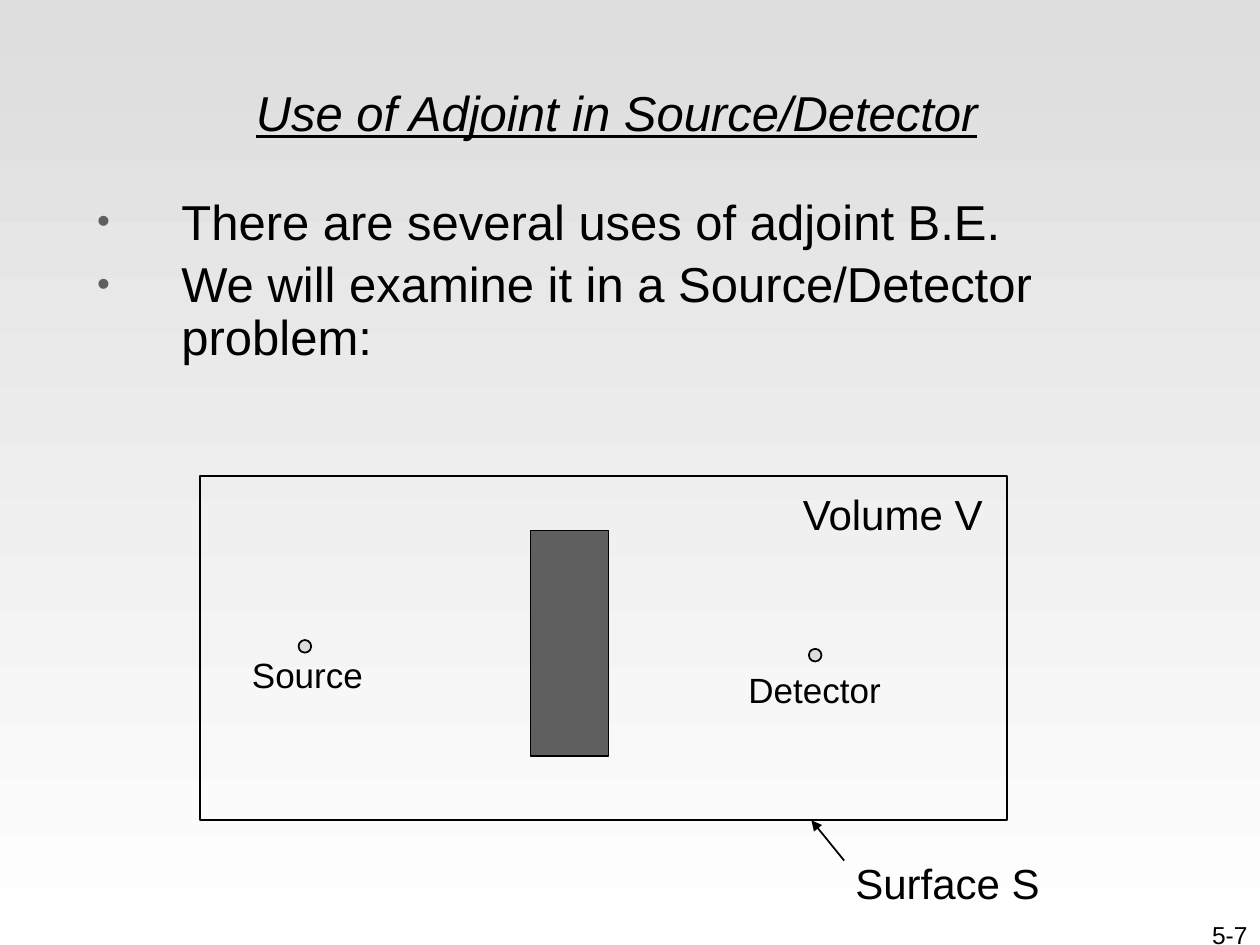
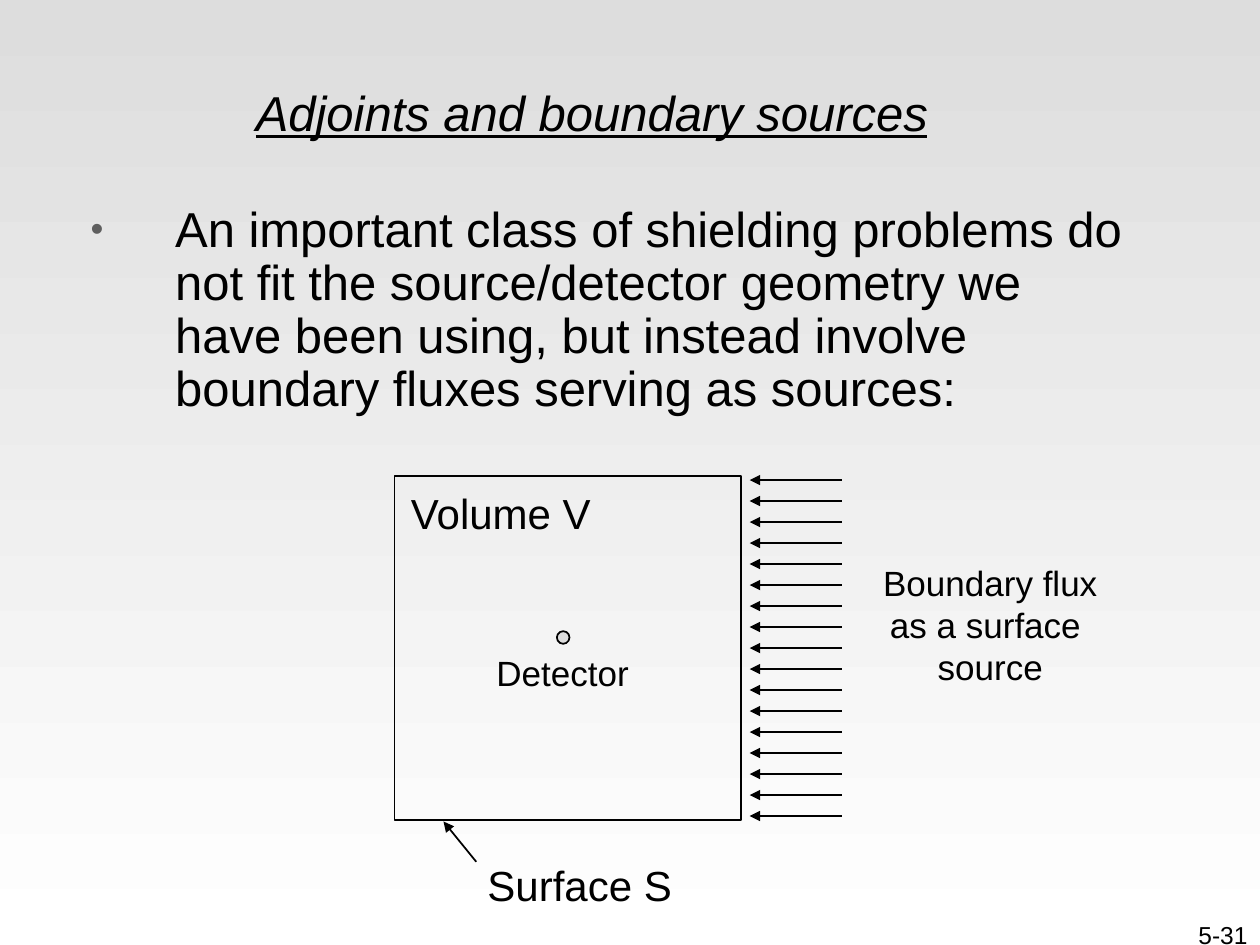
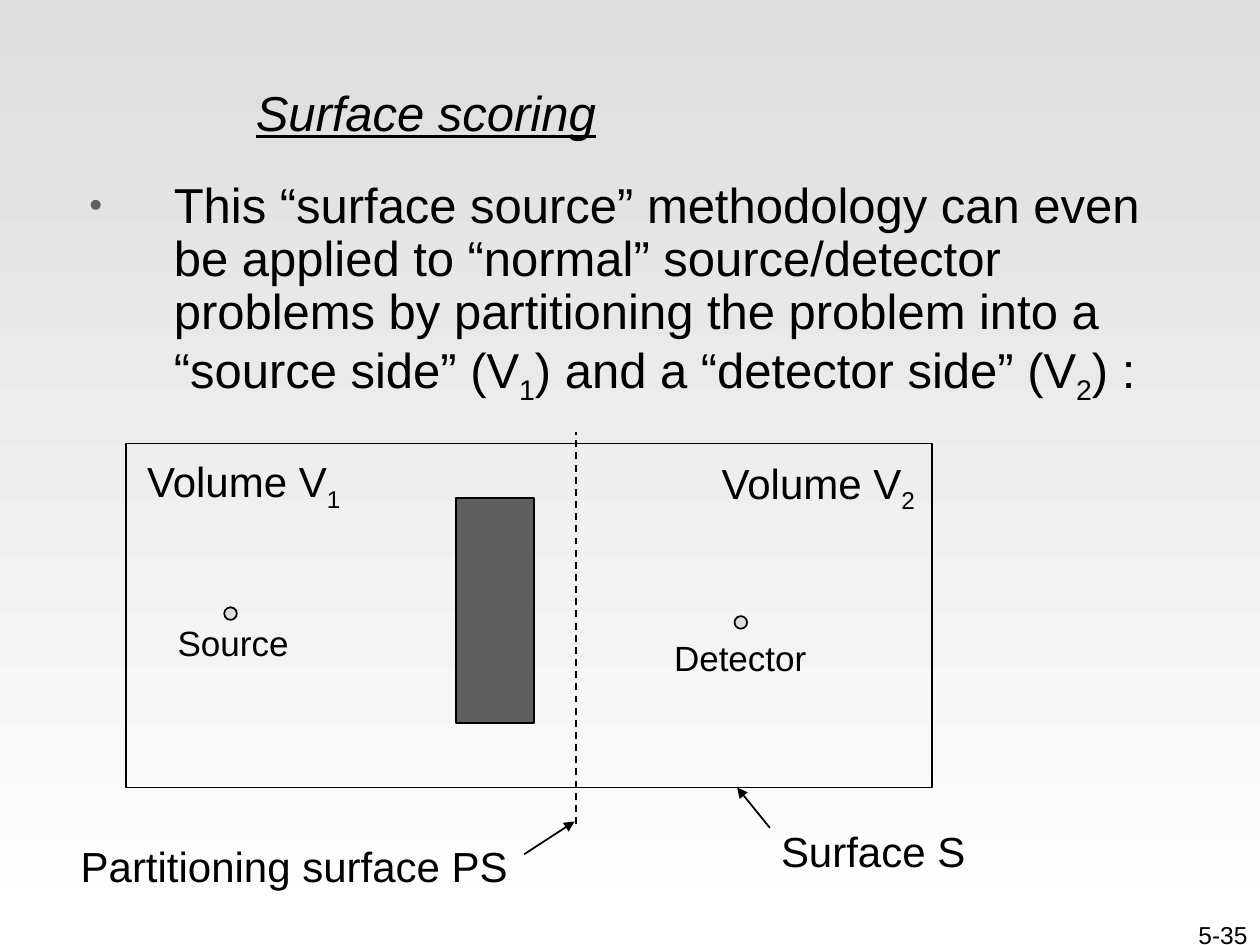
from lxml import etree
from pptx import Presentation
from pptx.dml.color import RGBColor
from pptx.enum.dml import MSO_LINE
from pptx.enum.shapes import MSO_CONNECTOR, MSO_SHAPE
from pptx.enum.text import MSO_ANCHOR, MSO_AUTO_SIZE, PP_ALIGN
from pptx.oxml.ns import qn
from pptx.util import Inches, Pt

LEFT, CENTER, RIGHT = PP_ALIGN.LEFT, PP_ALIGN.CENTER, PP_ALIGN.RIGHT
TOP, MIDDLE = MSO_ANCHOR.TOP, MSO_ANCHOR.MIDDLE
FIXED, GROW = MSO_AUTO_SIZE.NONE, MSO_AUTO_SIZE.SHAPE_TO_FIT_TEXT
RECTANGLE, OVAL = MSO_SHAPE.RECTANGLE, MSO_SHAPE.OVAL
STRAIGHT = MSO_CONNECTOR.STRAIGHT
DASH = MSO_LINE.DASH

FONT = "Arial"
INK = "000000"
PALE = "DDDDDD"
WHITE = "FFFFFF"
SHIELD = "5F5F5F"


def color(value):
    return RGBColor.from_string(value)


def write(frame, *lines, size=24, align=CENTER, anchor=TOP, fit=GROW, wrap=False,
          italic=None, underline=None, indent=0, spacing=None, bullet=None):
    """Fill a frame, one paragraph per line; text between underscores is subscript."""
    frame.auto_size = fit
    frame.word_wrap = wrap
    frame.vertical_anchor = anchor
    for number, line in enumerate(lines):
        paragraph = frame.add_paragraph() if number else frame.paragraphs[0]
        paragraph.alignment = align
        if spacing:
            paragraph.line_spacing = spacing
        properties = paragraph._p.get_or_add_pPr()
        if indent:
            properties.set("marL", str(Inches(indent)))
            properties.set("indent", str(-Inches(indent)))
        if bullet:
            tint = etree.SubElement(properties, qn("a:buClr"))
            etree.SubElement(tint, qn("a:srgbClr"), val=SHIELD)
            etree.SubElement(properties, qn("a:buSzPct"), val="75000")
            etree.SubElement(properties, qn("a:buFont"), typeface=FONT)
            etree.SubElement(properties, qn("a:buChar"), char=bullet)
        for position, part in enumerate(line.split("_")):
            if not part:
                continue
            run = paragraph.add_run()
            run.text = part
            run.font.name = FONT
            run.font.size = Pt(size)
            run.font.color.rgb = color(INK)
            run.font.italic = italic
            run.font.underline = underline
            if position % 2:
                run._r.get_or_add_rPr().set("baseline", "-25000")


class Deck:
    def __init__(self):
        self.presentation = Presentation()
        self.presentation.slide_width = Inches(10)
        self.presentation.slide_height = Inches(7.5)
        backdrop = self.presentation.slide_master.background.fill
        backdrop.gradient()
        backdrop.gradient_angle = 270
        for stop, shade in zip(backdrop.gradient_stops, (PALE, WHITE)):
            stop.color.rgb = color(shade)
        self.slide = None

    def place(self, shape, left, top, width, height):
        shape.left, shape.top = Inches(left), Inches(top)
        shape.width, shape.height = Inches(width), Inches(height)

    def start(self, title, page):
        layout = self.presentation.slide_layouts[1]
        self.slide = self.presentation.slides.add_slide(layout)
        heading = self.slide.shapes.title
        self.place(heading, 1.93, 0.26, 7.83, 1.25)
        write(heading.text_frame, title, size=28, align=LEFT, anchor=MIDDLE, fit=FIXED,
              wrap=True, italic=True, underline=True, indent=0.92)
        self.label(page, 7.92, 7.25, 2.08, 0.5, size=14, align=RIGHT, fit=FIXED, wrap=True)

    def points(self, *lines, left, top, width=8.5):
        body = self.slide.placeholders[1]
        self.place(body, left, top, width, 0.49)
        write(body.text_frame, *lines, size=28, align=LEFT, fit=FIXED, wrap=True,
              indent=0.67, spacing=0.9, bullet="•")

    def label(self, text, left, top, width, height=0.5, **style):
        box = self.slide.shapes.add_textbox(
            Inches(left), Inches(top), Inches(width), Inches(height))
        write(box.text_frame, *text.split("\n"), **style)

    def outline(self, kind, left, top, width, height, fill=None):
        shape = self.slide.shapes.add_shape(
            kind, Inches(left), Inches(top), Inches(width), Inches(height))
        shape.shadow.inherit = False
        if fill:
            shape.fill.solid()
            shape.fill.fore_color.rgb = color(fill)
        else:
            shape.fill.background()
        shape.line.color.rgb = color(INK)
        shape.line.width = Pt(1)

    def line(self, start, end, arrow=True, dash=None, group=None):
        shapes = (group or self.slide).shapes
        connector = shapes.add_connector(
            STRAIGHT, *(Inches(value) for value in (*start, *end)))
        connector.line.color.rgb = color(INK)
        connector.line.width = Pt(1)
        if dash:
            connector.line.dash_style = dash
        if arrow:
            etree.SubElement(connector.line._get_or_add_ln(), qn("a:tailEnd"), type="triangle")
        etree.SubElement(connector._element.spPr, qn("a:effectLst"))

    def point(self, name, left, top, label_left, label_top, label_width):
        self.outline(OVAL, left, top, 0.1, 0.1, PALE)
        self.label(name, label_left, label_top, label_width, 0.43, size=20)

    def surface(self, left, top):
        self.line((left + 0.26, top + 0.32), (left, top))
        self.label("Surface S", left + 0.22, top + 0.25, 1.72)

    def shielded_volume(self, left, top):
        self.outline(RECTANGLE, left, top, 6.4, 2.73)
        self.outline(RECTANGLE, left + 2.62, top + 0.43, 0.62, 1.79, SHIELD)
        self.point("Source", left + 0.78, top + 1.3, left + 0.31, top + 1.36, 1.08)
        self.point("Detector", left + 4.83, top + 1.37, left + 4.25, top + 1.48, 1.25)
        self.surface(left + 4.85, top + 2.73)


deck = Deck()

deck.start("Use of Adjoint in Source/Detector", "5-7")
deck.points("There are several uses of adjoint B.E.",
            "We will examine it in a Source/Detector problem:", left=0.67, top=1.52)
deck.shielded_volume(1.59, 3.78)
deck.label("Volume V", 6.26, 3.83, 1.65)

deck.start("Adjoints and boundary sources", "5-31")
deck.points("An important class of shielding problems do not fit the source/detector "
            "geometry we have been using, but instead involve boundary fluxes serving "
            "as sources:", left=0.62, top=1.58)
deck.outline(RECTANGLE, 3.13, 3.78, 2.75, 2.73)
deck.point("Detector", 4.42, 5.01, 3.84, 5.12, 1.25)
deck.label("Volume V", 3.15, 3.82, 1.65)
deck.surface(3.52, 6.52)
flux = deck.slide.shapes.add_group_shape()
for step in range(17):
    height = 3.81 + step / 6
    deck.line((6.68, height), (5.95, height), group=flux)
deck.label("Boundary flux\nas a surface \nsource", 6.91, 4.41, 1.9, 1.1, size=20)

deck.start("Surface scoring", "5-35")
deck.points("This “surface source” methodology can even be applied to “normal” "
            "source/detector problems by partitioning the problem into a "
            "“source side” (V_1_) and a “detector side” (V_2_) :",
            left=0.61, top=1.39, width=8.72)
deck.shielded_volume(1, 3.52)
deck.label("Volume V_1_", 1.05, 3.57, 1.77)
deck.label("Volume V_2_", 5.61, 3.58, 1.77)
deck.line((4.57, 6.54), (4.57, 3.43), arrow=False, dash=DASH)
deck.label("Partitioning surface PS", 0.54, 6.62, 3.59)
deck.line((4.16, 6.78), (4.56, 6.52))

deck.presentation.save("out.pptx")
